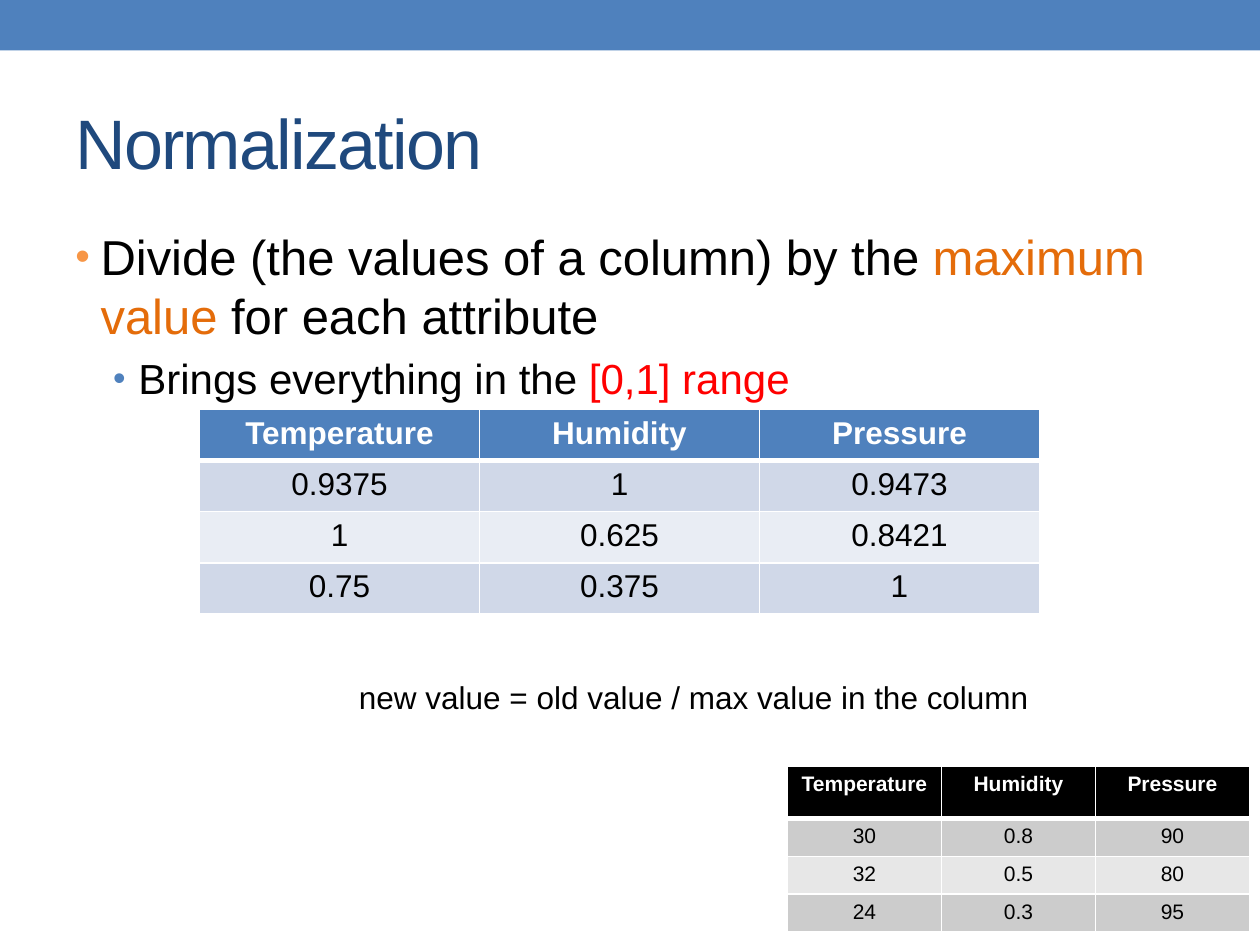
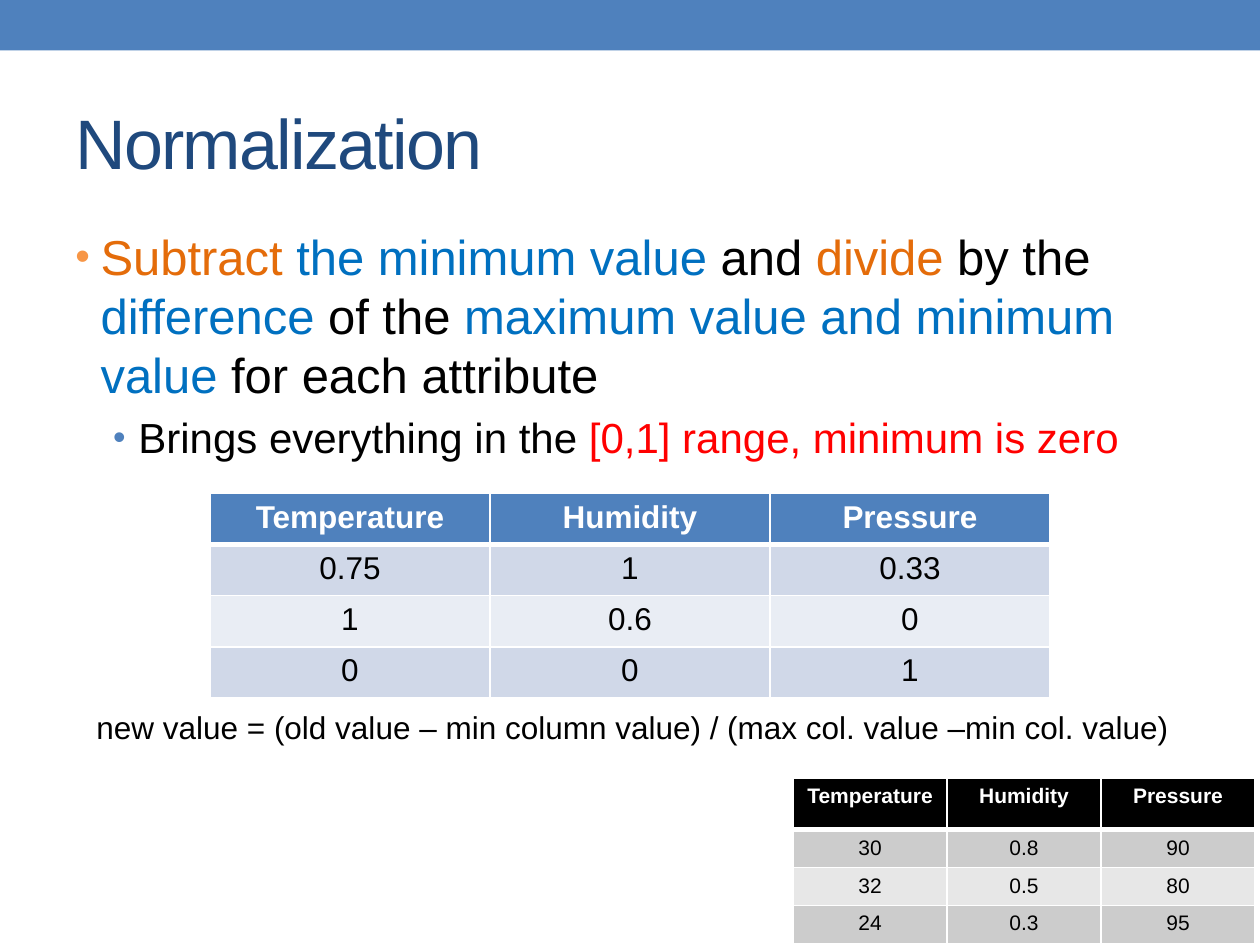
from dataclasses import dataclass

from lxml import etree
from pptx import Presentation
from pptx.dml.color import RGBColor
from pptx.enum.shapes import MSO_SHAPE
from pptx.enum.text import MSO_ANCHOR, MSO_AUTO_SIZE, PP_ALIGN
from pptx.oxml.ns import qn
from pptx.slide import Slide
from pptx.text.text import Font
from pptx.util import Pt

RECTANGLE = MSO_SHAPE.RECTANGLE
MIDDLE = MSO_ANCHOR.MIDDLE
FIT_TEXT = MSO_AUTO_SIZE.SHAPE_TO_FIT_TEXT
CENTER = PP_ALIGN.CENTER

BLACK = RGBColor(0x00, 0x00, 0x00)
WHITE = RGBColor(0xFF, 0xFF, 0xFF)
BLUE = RGBColor(0x4F, 0x81, 0xBD)
NAVY = RGBColor(0x1F, 0x49, 0x7D)
SKY = RGBColor(0x00, 0x70, 0xC0)
ORANGE = RGBColor(0xE4, 0x6C, 0x0A)
LIGHT_ORANGE = RGBColor(0xF7, 0x96, 0x46)
RED = RGBColor(0xFF, 0x00, 0x00)
BLUE_BANDS = (RGBColor(0xD0, 0xD8, 0xE8), RGBColor(0xE9, 0xED, 0xF4))
GREY_BANDS = (RGBColor(0xCC, 0xCC, 0xCC), RGBColor(0xE7, 0xE7, 0xE7))

FONT = "Arial"
SLIDE_WIDTH, SLIDE_HEIGHT = 720, 540
ATTRIBUTES = ("Temperature", "Humidity", "Pressure")
MEASUREMENTS = (("30", "0.8", "90"), ("32", "0.5", "80"), ("24", "0.3", "95"))

Phrases = tuple[tuple[str, RGBColor], ...]
Rows = tuple[tuple[str, ...], ...]


@dataclass(frozen=True)
class BulletLevel:
    indent: float
    size: float
    bullet_color: RGBColor
    space_before: float


@dataclass(frozen=True)
class TableLook:
    column_width: float
    header_height: float
    row_height: float
    size: float
    header_fill: RGBColor
    bands: tuple[RGBColor, RGBColor]


@dataclass(frozen=True)
class Place:
    left: float
    top: float


@dataclass(frozen=True)
class Formula:
    text: str
    place: Place
    width: float


@dataclass(frozen=True)
class Method:
    bullets: tuple[Phrases, ...]
    normalized: Rows
    normalized_place: Place
    formula: Formula
    measurements_place: Place


LEVELS = (
    BulletLevel(14.4, 28, LIGHT_ORANGE, 0),
    BulletLevel(36, 24, BLUE, 4.8),
)
NORMALIZED_LOOK = TableLook(160, 29.2, 29.2, 18, BLUE, BLUE_BANDS)
MEASUREMENTS_LOOK = TableLook(88, 29.6, 21.7, 12, BLACK, GREY_BANDS)

METHODS = (
    Method(
        bullets=(
            (
                ("Divide (the values of a column) by the ", BLACK),
                ("maximum value ", ORANGE),
                ("for each attribute", BLACK),
            ),
            (("Brings everything in the ", BLACK), ("[0,1] range", RED)),
        ),
        normalized=(
            ("0.9375", "1", "0.9473"),
            ("1", "0.625", "0.8421"),
            ("0.75", "0.375", "1"),
        ),
        normalized_place=Place(114, 234),
        formula=Formula(
            "new value = old value / max value in the column", Place(198, 384), 406
        ),
        measurements_place=Place(450, 438),
    ),
    Method(
        bullets=(
            (
                ("Subtract", ORANGE),
                (" the minimum value ", SKY),
                ("and ", BLACK),
                ("divide", ORANGE),
                (" by the ", BLACK),
                ("difference", SKY),
                (" of the ", BLACK),
                ("maximum value and minimum value ", SKY),
                ("for each attribute", BLACK),
            ),
            (
                ("Brings everything in the ", BLACK),
                ("[0,1] range, minimum is zero", RED),
            ),
        ),
        normalized=(("0.75", "1", "0.33"), ("1", "0.6", "0"), ("0", "0", "1")),
        normalized_place=Place(120, 282),
        formula=Formula(
            "new value = (old value – min column value) / "
            "(max col. value –min col. value)",
            Place(48, 401),
            652,
        ),
        measurements_place=Place(453.2, 444.5),
    ),
)


def style(font: Font, size: float, color: RGBColor, bold: bool = False) -> None:
    font.name = FONT
    font.size = Pt(size)
    font.bold = bold
    font.color.rgb = color


def add_band(slide: Slide) -> None:
    band = slide.shapes.add_shape(RECTANGLE, 0, 0, Pt(SLIDE_WIDTH), Pt(28.8))
    band.shadow.inherit = False
    band.fill.solid()
    band.fill.fore_color.rgb = BLUE
    band.line.fill.background()


def add_title(slide: Slide, text: str) -> None:
    frame = slide.shapes.add_textbox(Pt(36), Pt(42), Pt(648), Pt(78)).text_frame
    frame.word_wrap = True
    frame.vertical_anchor = MIDDLE
    frame.text = text
    run = frame.paragraphs[0].runs[0]
    style(run.font, 40, NAVY)
    run.font._element.set("spc", "-100")


def add_bullets(slide: Slide, bullets: tuple[Phrases, ...]) -> None:
    frame = slide.shapes.add_textbox(Pt(36), Pt(126), Pt(648), Pt(384)).text_frame
    frame.word_wrap = True
    for depth, (phrases, level) in enumerate(zip(bullets, LEVELS)):
        paragraph = frame.add_paragraph() if depth else frame.paragraphs[0]
        paragraph.level = depth
        properties = paragraph._p.get_or_add_pPr()
        properties.set("marL", str(Pt(level.indent)))
        properties.set("indent", str(-Pt(14.4)))
        bullet_color = etree.SubElement(properties, qn("a:buClr"))
        etree.SubElement(bullet_color, qn("a:srgbClr"), val=str(level.bullet_color))
        etree.SubElement(properties, qn("a:buSzPct"), val="85000")
        etree.SubElement(properties, qn("a:buFont"), typeface=FONT)
        etree.SubElement(properties, qn("a:buChar"), char="•")
        if level.space_before:
            paragraph.space_before = Pt(level.space_before)
        for text, color in phrases:
            run = paragraph.add_run()
            run.text = text
            style(run.font, level.size, color)


def add_data_table(slide: Slide, place: Place, rows: Rows, look: TableLook) -> None:
    width = look.column_width * len(ATTRIBUTES)
    height = look.header_height + look.row_height * len(rows)
    table = slide.shapes.add_table(
        len(rows) + 1, len(ATTRIBUTES), Pt(place.left), Pt(place.top), Pt(width), Pt(height)
    ).table
    table.first_row = False
    table.horz_banding = False
    for column in table.columns:
        column.width = Pt(look.column_width)
    for index, values in enumerate((ATTRIBUTES, *rows)):
        header = index == 0
        table.rows[index].height = Pt(look.header_height if header else look.row_height)
        for cell, value in zip(table.rows[index].cells, values):
            borders = {"lnL": 1, "lnR": 1, "lnT": 3 if index == 1 else 1, "lnB": 3 if header else 1}
            for side, weight in borders.items():
                edge = etree.SubElement(
                    cell._tc.get_or_add_tcPr(), qn(f"a:{side}"), w=str(Pt(weight))
                )
                edge_fill = etree.SubElement(edge, qn("a:solidFill"))
                etree.SubElement(edge_fill, qn("a:srgbClr"), val=str(WHITE))
            cell.fill.solid()
            cell.fill.fore_color.rgb = look.header_fill if header else look.bands[(index - 1) % 2]
            cell.text_frame.text = value
            paragraph = cell.text_frame.paragraphs[0]
            paragraph.alignment = CENTER
            style(paragraph.runs[0].font, look.size, WHITE if header else BLACK, header)


def add_formula(slide: Slide, formula: Formula) -> None:
    place = formula.place
    frame = slide.shapes.add_textbox(
        Pt(place.left), Pt(place.top), Pt(formula.width), Pt(29)
    ).text_frame
    frame.word_wrap = False
    frame.auto_size = FIT_TEXT
    frame.text = formula.text
    style(frame.paragraphs[0].runs[0].font, 18, BLACK)


def main() -> None:
    presentation = Presentation()
    presentation.slide_width = Pt(SLIDE_WIDTH)
    presentation.slide_height = Pt(SLIDE_HEIGHT)
    for method in METHODS:
        slide = presentation.slides.add_slide(presentation.slide_layouts[6])
        add_band(slide)
        add_title(slide, "Normalization")
        add_bullets(slide, method.bullets)
        add_data_table(slide, method.normalized_place, method.normalized, NORMALIZED_LOOK)
        add_formula(slide, method.formula)
        add_data_table(slide, method.measurements_place, MEASUREMENTS, MEASUREMENTS_LOOK)
    presentation.save("out.pptx")


if __name__ == "__main__":
    main()
